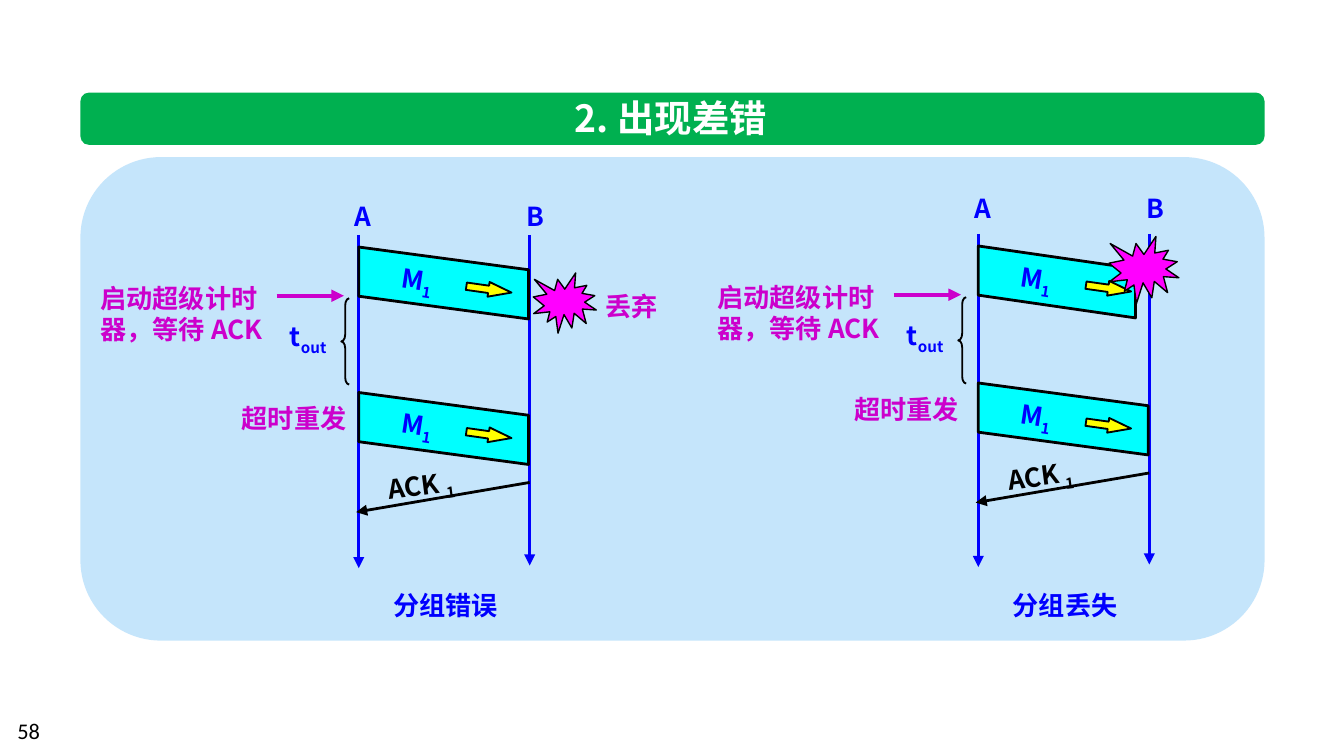
"""Build the slide on timeout and resend after a damaged or a lost packet."""
from lxml.etree import SubElement
from pptx import Presentation
from pptx.dml.color import RGBColor
from pptx.enum.shapes import MSO_CONNECTOR as Link, MSO_SHAPE as Kind
from pptx.enum.text import MSO_AUTO_SIZE as Fit, PP_ALIGN as Align
from pptx.oxml.ns import qn
from pptx.util import Cm, Pt

WHITE = RGBColor(0xFF, 0xFF, 0xFF)
BLACK = RGBColor(0, 0, 0)
GREEN = RGBColor(0x00, 0xB0, 0x50)
PALE = RGBColor(0xC5, 0xE5, 0xFB)
BLUE = RGBColor(0, 0, 0xFF)
CYAN = RGBColor(0, 0xFF, 0xFF)
YELLOW = RGBColor(0xFF, 0xFF, 0)
PINK = RGBColor(0xFF, 0, 0xFF)
PURPLE = RGBColor(0xCC, 0, 0xCC)
SANS = "Noto Sans CJK SC"

deck = Presentation()
deck.slide_width, deck.slide_height = Cm(25.4), Cm(14.29)
slide = deck.slides.add_slide(deck.slide_layouts[6])
shapes = slide.shapes


def write(text, x, y, w, h, color=BLUE, size=14, font=SANS, bold=True,
          sub="", turn=0, align=Align.LEFT, wrap=False):
    box = shapes.add_textbox(Cm(x), Cm(y), Cm(w), Cm(h))
    box.rotation = turn
    frame = box.text_frame
    frame.word_wrap = wrap
    frame.auto_size = Fit.SHAPE_TO_FIT_TEXT
    para = frame.paragraphs[0]
    para.alignment = align
    for part, base in ((text, 0), (sub, -25000)):
        if part:
            run = para.add_run()
            run.text = part
            run.font.size, run.font.bold, run.font.name = Pt(size), bold, font
            run.font.color.rgb = color
            props = run._r.get_or_add_rPr()
            SubElement(props, qn("a:ea")).set("typeface", font)
            if base:
                props.set("baseline", str(base))


def style(shape, fill=None, line=None, width=1, head=False):
    if head:
        props = shape._element.spPr
        tail = SubElement(shape.line._get_or_add_ln(), qn("a:tailEnd"))
        tail.set("type", "triangle")
        SubElement(props, qn("a:effectLst"))
    else:
        shape.shadow.inherit = False
        if fill is None:
            shape.fill.background()
        else:
            shape.fill.solid()
            shape.fill.fore_color.rgb = fill
    if line is None:
        shape.line.fill.background()
    else:
        shape.line.color.rgb = line
        shape.line.width = Pt(width)


bar = shapes.add_shape(Kind.ROUNDED_RECTANGLE, Cm(1.52), Cm(1.75), Cm(22.38), Cm(0.99))
style(bar, GREEN)
write("2. 出现差错", 10.57, 1.68, 4.22, 1.12, WHITE, 20, align=Align.CENTER)
panel = shapes.add_shape(Kind.ROUNDED_RECTANGLE, Cm(1.52), Cm(2.97), Cm(22.38), Cm(9.14))
style(panel, PALE)

cases = (
    ("分组错误", 6.78, 6.45, 3.66, 4.44, 7.42, 4.32, 3.21, (10.08, 5.16, 1.19, 1.14)),
    ("分组丢失", 18.49, 18.11, 3.51, 4.42, 7.24, 15.9, 2.97, (20.96, 4.47, 1.32, 1.27)),
)
for title, x, side, name, top, low, late, span, blast in cases:
    write(title, x + 0.4, 11.02, 2.51, 0.86)
    write("A", x - 0.33, name, 0.89, 0.84)
    write("B", x + 2.92, name, 0.84, 0.84)
    write("启动超级计时器，等待 ACK", side - 4.8, top + 0.77, 3.91, 1.45, PURPLE, wrap=True)
    write("t", side - 1.22, top + 1.5, 1.3, 0.86, sub="out")
    write("超时重发", late, low + 0.07, 2.51, 0.86, PURPLE)

    for x1, y1, x2, y2, color, width in (
        (x, top, x, top + 6.3, BLUE, 1.5),
        (x + 3.23, top, x + 3.23, top + 6.25, BLUE, 1.5),
        (x + 3.23, low + 1.7, x - 0.05, low + 2.26, BLACK, 1.5),
        (side - 1.22, top + 1.15, side + 0.05, top + 1.15, PURPLE, 2.25),
    ):
        line = shapes.add_connector(Link.STRAIGHT, Cm(x1), Cm(y1), Cm(x2), Cm(y2))
        style(line, line=color, width=width, head=True)
    write("ACK ", x + 0.3, low + 1.32, 1.9, 0.86, BLACK, sub="1", turn=-7.2)

    for y, wide in ((top + 0.23, span), (low, 3.21)):
        path = shapes.build_freeform(Cm(x), Cm(y))
        path.add_line_segments([
            (Cm(x + wide), Cm(y + 0.43)),
            (Cm(x + wide), Cm(y + 1.36)),
            (Cm(x), Cm(y + 0.93)),
        ])
        style(path.convert_to_shape(), CYAN, BLACK, 1.5)
        arrow = shapes.add_shape(Kind.RIGHT_ARROW, Cm(x + 2.03), Cm(y + 0.66), Cm(0.86), Cm(0.28))
        arrow.rotation = 8
        arrow.adjustments[1] = 1.56
        style(arrow, YELLOW, BLACK)
        write("M", x + 0.56, y + 0.2, 1.22, 0.84, sub="1", turn=9)

    burst = shapes.add_shape(Kind.EXPLOSION1, *map(Cm, blast))
    style(burst, PINK, BLACK, 0.75)
    brace = shapes.add_shape(Kind.LEFT_BRACE, Cm(side), Cm(top + 1.2), Cm(0.15), Cm(1.63))
    brace.adjustments[0] = 0.87
    style(brace, line=BLACK)

write("丢弃", 11.18, 5.36, 1.5, 0.84, PURPLE, align=Align.CENTER)
write("58", 0.08, 13.44, 5.92, 0.76, BLACK, 12, "Calibri", False, wrap=True)

deck.save("out.pptx")
